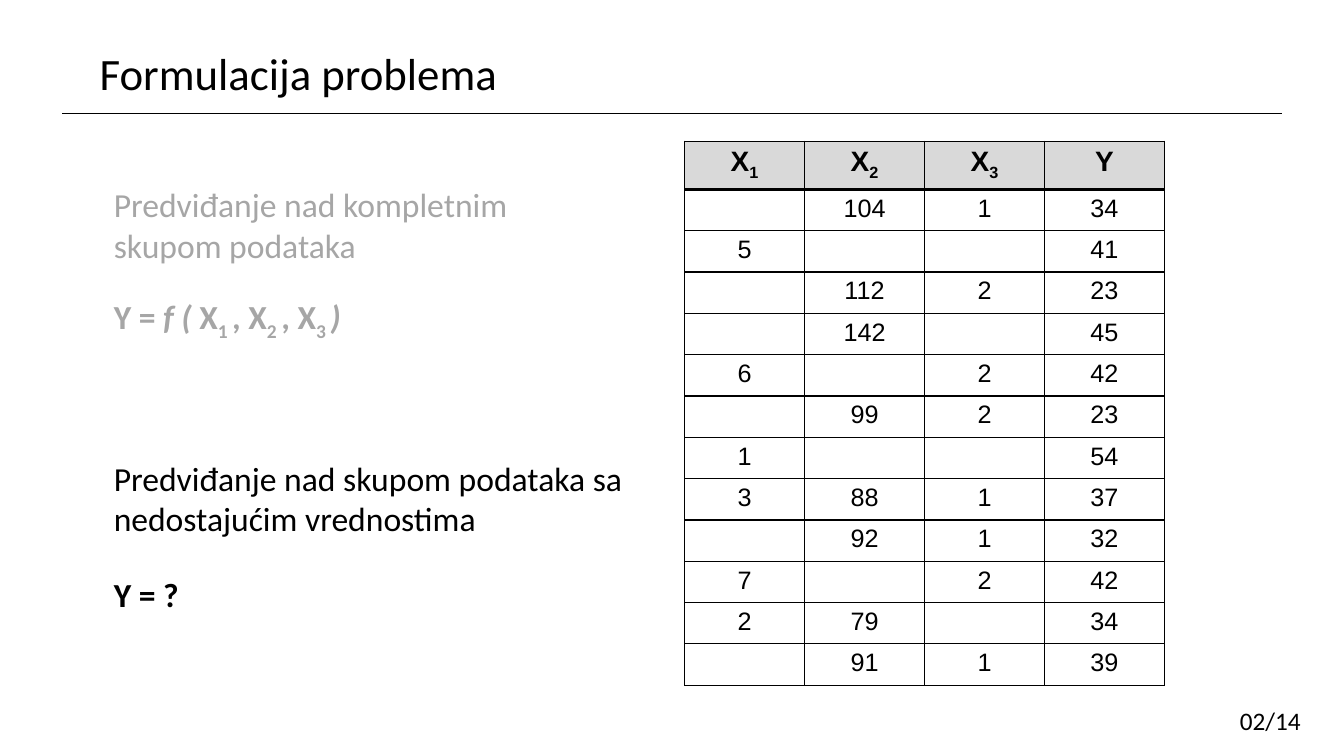
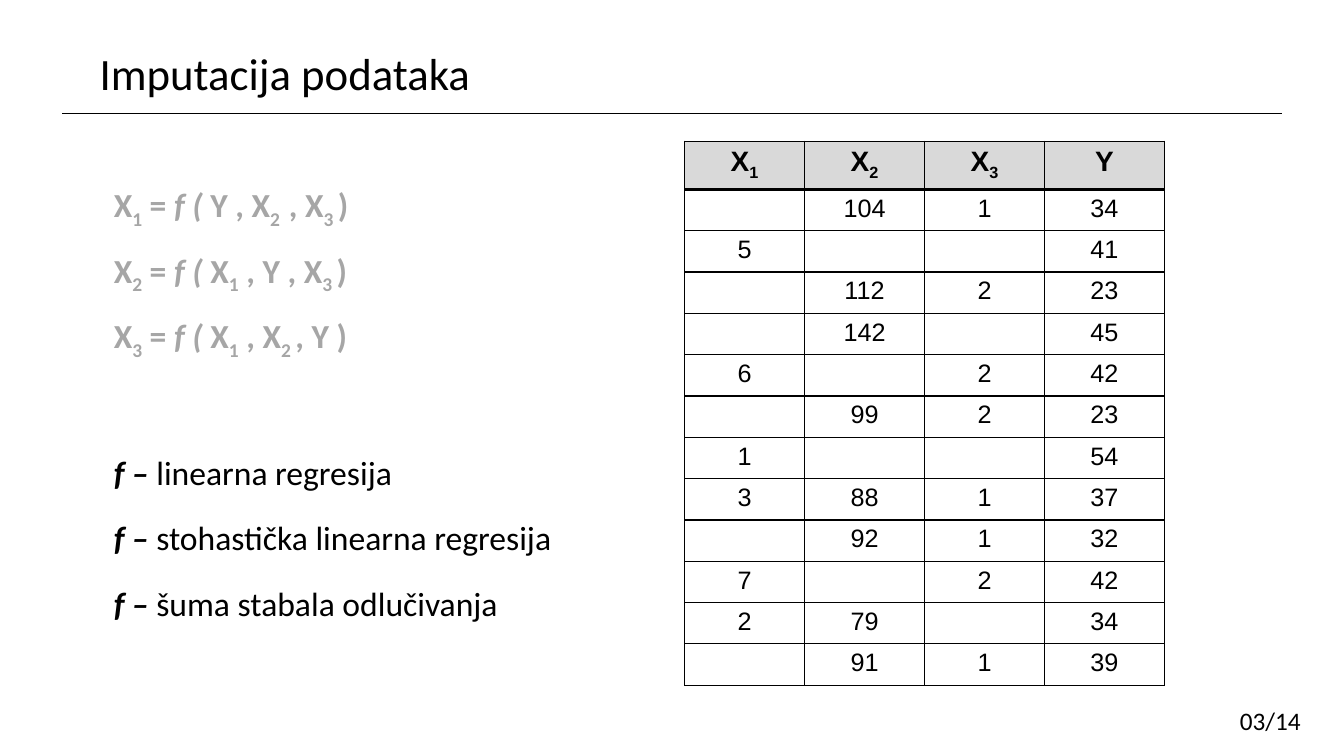
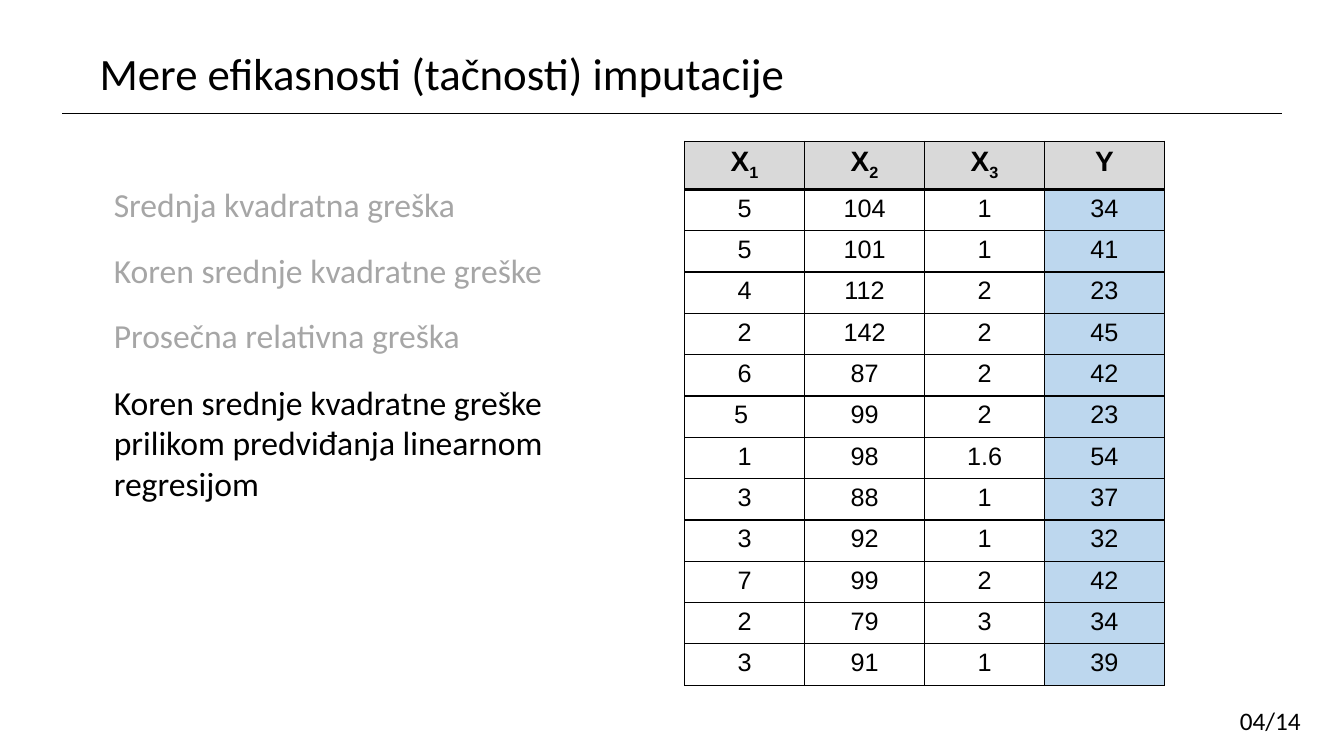
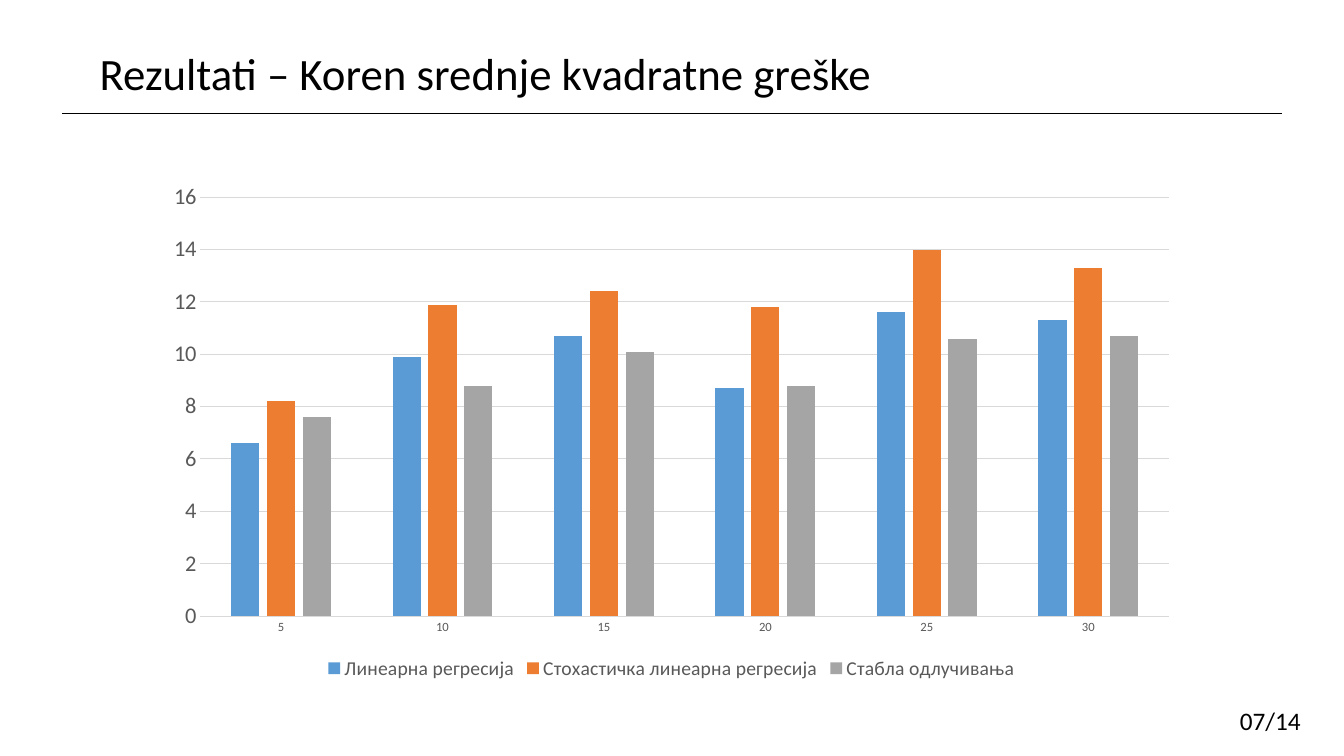
"""Build four slides on imputing missing data, with tables and a results chart."""
import lxml.etree
import pptx
import pptx.chart.data
import pptx.dml.color
import pptx.enum.chart
import pptx.enum.shapes
import pptx.enum.text
import pptx.oxml.ns
import pptx.util

Inches, Pt = pptx.util.Inches, pptx.util.Pt
RGBColor = pptx.dml.color.RGBColor
qn = pptx.oxml.ns.qn

BLACK = RGBColor(0x00, 0x00, 0x00)
FADED = RGBColor(0xA6, 0xA6, 0xA6)
HEADER_FILL = RGBColor(0xD9, 0xD9, 0xD9)
TARGET_FILL = RGBColor(0xBD, 0xD7, 0xEE)
AXIS_TEXT = RGBColor(0x59, 0x59, 0x59)
GRID = RGBColor(0xD9, 0xD9, 0xD9)
SERIES_COLORS = [RGBColor(0x5B, 0x9B, 0xD5), RGBColor(0xED, 0x7D, 0x31), RGBColor(0xA5, 0xA5, 0xA5)]

BODY_FONT, TABLE_FONT = "Calibri", "Arial"
BODY_LEFT, BODY_WIDTH, BODY_TOP, BODY_PITCH = 1.03, 5.41, 1.78, 0.65
TABLE_LEFT, TABLE_TOP, COL_W, ROW_H = 6.79, 1.4, 1.19, 0.41

HEADER = [
    [("X", "b"), ("1", "bs")],
    [("X", "b"), ("2", "bs")],
    [("X", "b"), ("3", "bs")],
    [("Y", "b")],
]
MISSING = [
    ("", "104", "1", "34"), ("5", "", "", "41"), ("", "112", "2", "23"),
    ("", "142", "", "45"), ("6", "", "2", "42"), ("", "99", "2", "23"),
    ("1", "", "", "54"), ("3", "88", "1", "37"), ("", "92", "1", "32"),
    ("7", "", "2", "42"), ("2", "79", "", "34"), ("", "91", "1", "39"),
]
IMPUTED = [
    ("5", "104", "1", "34"), ("5", "101", "1", "41"), ("4", "112", "2", "23"),
    ("2", "142", "2", "45"), ("6", "87", "2", "42"), ("5 ", "99", "2", "23"),
    ("1", "98", "1.6", "54"), ("3", "88", "1", "37"), ("3", "92", "1", "32"),
    ("7", "99", "2", "42"), ("2", "79", "3", "34"), ("3", "91", "1", "39"),
]
TABLE_MISSING = {"rows": MISSING, "header_h": 0.45, "target": None}
TABLE_IMPUTED = {"rows": IMPUTED, "header_h": 0.47, "target": TARGET_FILL}

CHART = {
    "cats": ["5", "10", "15", "20", "25", "30"],
    "series": [
        ("Линеарна регресија", [6.6, 9.9, 10.7, 8.7, 11.6, 11.3]),
        ("Стохастичка линеарна регресија", [8.2, 11.9, 12.4, 11.8, 14, 13.3]),
        ("Стабла одлучивања", [7.6, 8.8, 10.1, 8.8, 10.6, 10.7]),
    ],
}


def plain(*lines):
    return [[(line, "")] for line in lines]


def method(name):
    return [[("f – ", "bi"), (name, "")]]


SLIDES = [
    {
        "title": "Formulacija problema", "page": "02/14", "table": TABLE_MISSING,
        "blocks": [
            (BODY_TOP, 1.11, FADED, [
                plain("Predviđanje nad kompletnim", "skupom podataka"),
                [[("Y = ", "b"), ("f ( ", "bi"), ("X", "b"), ("1 ", "bs"), (", X", "b"),
                  ("2 ", "bs"), (", X", "b"), ("3 ", "bs"), (")", "bi")]],
            ]),
            (4.49, 1.15, BLACK, [
                plain("Predviđanje nad skupom podataka sa nedostajućim vrednostima"),
                [[("Y = ?", "b")]],
            ]),
        ],
    },
    {
        "title": "Imputacija podataka", "page": "03/14", "table": TABLE_MISSING,
        "blocks": [
            (BODY_TOP, BODY_PITCH, FADED, [
                [[("X", "b"), ("1", "bs"), (" = ", "b"), ("f ( ", "bi"), ("Y , X", "b"),
                  ("2  ", "bs"), (", X", "b"), ("3 ", "bs"), (")", "b")]],
                [[("X", "b"), ("2", "bs"), (" = ", "b"), ("f ( ", "bi"), ("X", "b"),
                  ("1", "bs"), (" , Y , X", "b"), ("3 ", "bs"), (")", "b")]],
                [[("X", "b"), ("3", "bs"), (" = ", "b"), ("f ( ", "bi"), ("X", "b"),
                  ("1", "bs"), (" , X", "b"), ("2 ", "bs"), (", Y )", "b")]],
            ]),
            (4.43, BODY_PITCH, BLACK, [
                method("linearna regresija"),
                method("stohastička linearna regresija"),
                method("šuma stabala odlučivanja"),
            ]),
        ],
    },
    {
        "title": "Mere efikasnosti (tačnosti) imputacije", "page": "04/14", "table": TABLE_IMPUTED,
        "blocks": [
            (BODY_TOP, BODY_PITCH, FADED, [
                plain("Srednja kvadratna greška"),
                plain("Koren srednje kvadratne greške"),
                plain("Prosečna relativna greška"),
            ]),
            (3.74, BODY_PITCH, BLACK, [
                plain("Koren srednje kvadratne greške prilikom predviđanja linearnom regresijom"),
            ]),
        ],
    },
    {"title": "Rezultati – Koren srednje kvadratne greške", "page": "07/14", "chart": CHART},
]


def set_font(font, name, size, color):
    font.name, font.size = name, Pt(size)
    font.color.rgb = color


def add_runs(p, runs, name, size, color):
    for text, style in runs:
        r = p.add_run()
        r.text = text
        set_font(r.font, name, size, color)
        r.font.bold, r.font.italic = "b" in style, "i" in style
        if "s" in style:
            r._r.get_or_add_rPr().set("baseline", "-25000")


def add_text(s, box, paragraphs, size, color=BLACK):
    tf = s.shapes.add_textbox(*map(Inches, box)).text_frame
    tf.word_wrap = True
    tf.auto_size = pptx.enum.text.MSO_AUTO_SIZE.SHAPE_TO_FIT_TEXT
    for i, runs in enumerate(paragraphs):
        p = tf.add_paragraph() if i else tf.paragraphs[0]
        add_runs(p, runs, BODY_FONT, size, color)


def add_frame(s, title, page):
    line = s.shapes.add_connector(
        pptx.enum.shapes.MSO_CONNECTOR.STRAIGHT, *map(Inches, (0.62, 1.12, 12.72, 1.12)))
    line.line.color.rgb, line.line.width = BLACK, Pt(0.5)
    lxml.etree.SubElement(line._element.spPr, qn("a:effectLst"))
    add_text(s, (0.89, 0.4, 8.96, 0.64), plain(title), 32)
    add_text(s, (12.2, 6.95, 1.04, 0.4), plain(page), 18)


def add_blocks(s, blocks):
    for top, pitch, color, boxes in blocks:
        for i, paragraphs in enumerate(boxes):
            height = 0.1 + 0.4 * len(paragraphs)
            add_text(s, (BODY_LEFT, top + i * pitch, BODY_WIDTH, height), paragraphs, 24, color)


def set_borders(cell, top, bottom):
    tcPr = cell._tc.get_or_add_tcPr()
    for i, (side, width) in enumerate([("L", 1), ("R", 1), ("T", top), ("B", bottom)]):
        ln = lxml.etree.Element(qn("a:ln" + side), w=str(Pt(width)))
        fill = lxml.etree.SubElement(ln, qn("a:solidFill"))
        lxml.etree.SubElement(fill, qn("a:srgbClr"), val=str(BLACK))
        tcPr.insert(i, ln)


def add_data_table(s, rows, header_h, target):
    cells = [HEADER] + [[[(v, "")] if v else [] for v in row] for row in rows]
    n, cols = len(cells), len(HEADER)
    heights = [header_h] + [ROW_H] * len(rows)
    table = s.shapes.add_table(
        n, cols, *map(Inches, (TABLE_LEFT, TABLE_TOP, cols * COL_W, sum(heights)))).table
    table.first_row = table.horz_banding = False
    for col in table.columns:
        col.width = Inches(COL_W)
    for i, row in enumerate(cells):
        table.rows[i].height = Inches(heights[i])
        for j, runs in enumerate(row):
            cell = table.cell(i, j)
            p = cell.text_frame.paragraphs[0]
            p.alignment = pptx.enum.text.PP_ALIGN.CENTER
            add_runs(p, runs, TABLE_FONT, 18 if i else 20, BLACK)
            fill = HEADER_FILL if i == 0 else target if j == cols - 1 else None
            if fill is None:
                cell.fill.background()
            else:
                cell.fill.solid()
                cell.fill.fore_color.rgb = fill
            set_borders(cell, 3 if i == 1 else 1, 3 if i == 0 else 1)


def add_results(s, cats, series):
    data = pptx.chart.data.CategoryChartData()
    data.categories = cats
    for name, values in series:
        data.add_series(name, values)
    chart = s.shapes.add_chart(
        pptx.enum.chart.XL_CHART_TYPE.COLUMN_CLUSTERED,
        *map(Inches, (1.52, 1.72, 10.28, 5.07)), data).chart
    set_font(chart.font, BODY_FONT, 10, BLACK)
    chart.has_title = False
    chart.has_legend = True
    chart.legend.position = pptx.enum.chart.XL_LEGEND_POSITION.BOTTOM
    chart.legend.include_in_layout = False
    set_font(chart.legend.font, BODY_FONT, 14, AXIS_TEXT)
    plot = chart.plots[0]
    plot.gap_width, plot.overlap, plot.vary_by_categories = 219, -27, False
    for ser, color in zip(plot.series, SERIES_COLORS):
        ser.format.fill.solid()
        ser.format.fill.fore_color.rgb = color
    cat, val = chart.category_axis, chart.value_axis
    for axis, size in ((cat, 9), (val, 16)):
        axis.major_tick_mark = axis.minor_tick_mark = pptx.enum.chart.XL_TICK_MARK.NONE
        set_font(axis.tick_labels.font, BODY_FONT, size, AXIS_TEXT)
    val.minimum_scale, val.maximum_scale, val.major_unit = 0, 16, 2
    val.format.line.fill.background()
    for line in (cat.format.line, val.major_gridlines.format.line):
        line.color.rgb, line.width = GRID, Pt(0.75)


def main():
    prs = pptx.Presentation()
    prs.slide_width, prs.slide_height = Inches(13.33), Inches(7.5)
    for content in SLIDES:
        s = prs.slides.add_slide(prs.slide_layouts[6])
        add_frame(s, content["title"], content["page"])
        add_blocks(s, content.get("blocks", []))
        if "table" in content:
            add_data_table(s, **content["table"])
        if "chart" in content:
            add_results(s, **content["chart"])
    prs.save("out.pptx")


if __name__ == "__main__":
    main()
